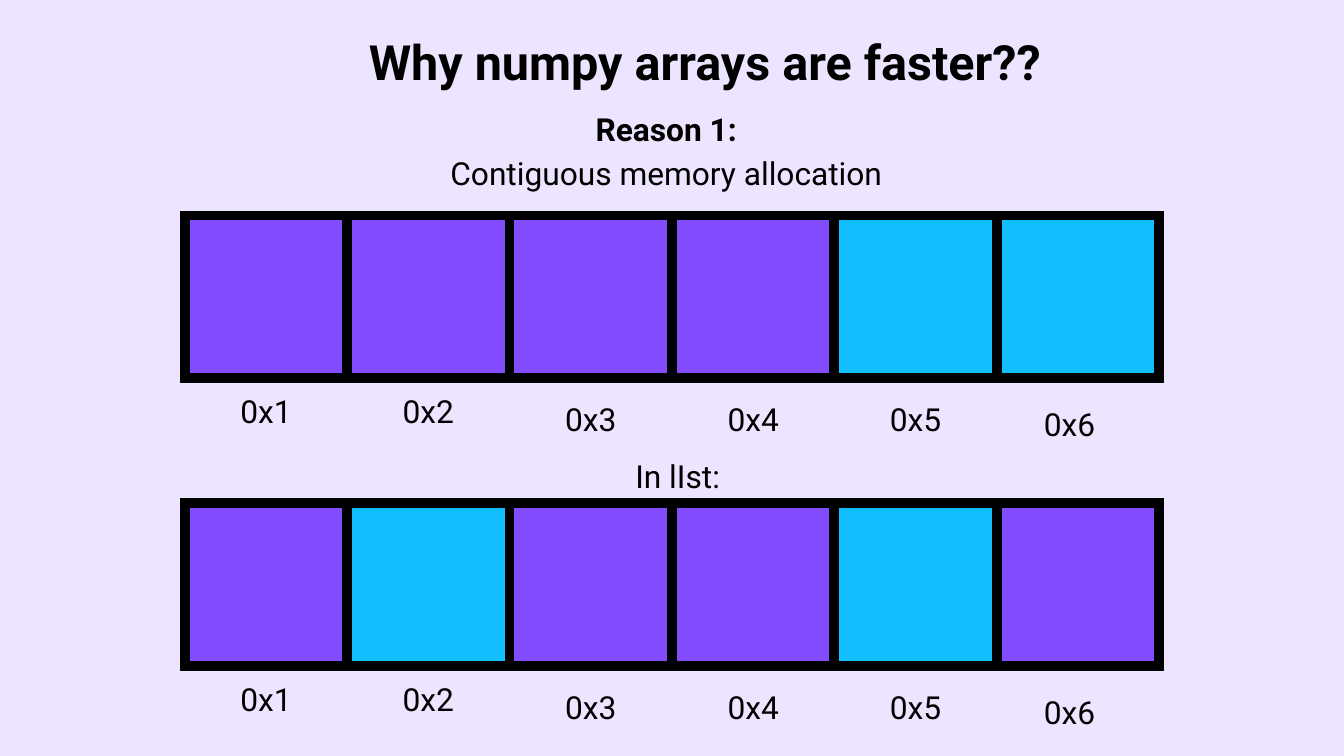
from lxml import etree
from pptx import Presentation
from pptx.dml.color import RGBColor
from pptx.enum.shapes import MSO_SHAPE
from pptx.enum.text import PP_ALIGN
from pptx.oxml.ns import qn
from pptx.util import Pt

RECTANGLE = MSO_SHAPE.RECTANGLE
CENTER = PP_ALIGN.CENTER

BLACK, LILAC, PURPLE, BLUE = "000000", "EDE5FF", "844CFF", "11BFFF"
CELL = 174
ROW_LEFT = 198
LABEL_WIDTH = 66
LABELS = [
    ("0x1", 0, 182.2),
    ("0x2", 0, 182.2),
    ("0x3", 0, 191),
    ("0x4", 0, 191),
    ("0x5", 0, 191),
    ("0x6", -9, 195.8),
]
MEMORY_ROWS = [
    (231, [PURPLE] * 4 + [BLUE] * 2),
    (539.3, [PURPLE, BLUE, PURPLE, PURPLE, BLUE, PURPLE]),
]


def color(value):
    """Turn a hex string into an RGB colour."""
    return RGBColor.from_string(value)


class SlideBuilder:
    """Hold the style and the current slide, and add elements to it."""

    font = "Roboto"
    size = 34
    leading = 1.4
    border = 10.5

    def __init__(self, slide, background):
        """Keep the slide and paint its background."""
        self.s = slide
        slide.background.fill.solid()
        slide.background.fill.fore_color.rgb = color(background)

    def text(self, left, top, width, height, lines, size=size):
        """Add a centred text box from (text, bold) lines."""
        tb = self.s.shapes.add_textbox(Pt(left), Pt(top), Pt(width), Pt(height))
        tf = tb.text_frame
        tf.word_wrap = True
        tf.margin_left = tf.margin_top = tf.margin_right = tf.margin_bottom = 0
        tf.text = "\n".join(line for line, _ in lines)
        for p, (_, bold) in zip(tf.paragraphs, lines):
            p.alignment = CENTER
            p.line_spacing = Pt(size * self.leading)
            for r in p.runs:
                r.font.name = self.font
                r.font.size = Pt(size)
                r.font.bold = bold
                r.font.color.rgb = color(BLACK)

    def cell(self, left, top, fill):
        """Add one square memory cell with a thick mitred border."""
        sp = self.s.shapes.add_shape(RECTANGLE, Pt(left), Pt(top), Pt(CELL), Pt(CELL))
        sp.shadow.inherit = False
        sp.fill.solid()
        sp.fill.fore_color.rgb = color(fill)
        sp.line.color.rgb = color(BLACK)
        sp.line.width = Pt(self.border)
        ln = sp._element.spPr.find(qn("a:ln"))
        etree.SubElement(ln, qn("a:miter"), lim="800000")

    def memory_row(self, top, fills):
        """Add a row of adjoining cells with an address under each."""
        for i, (fill, (address, shift, drop)) in enumerate(zip(fills, LABELS)):
            left = ROW_LEFT + i * CELL
            self.cell(left, top, fill)
            label_left = left + (CELL - LABEL_WIDTH) / 2 + shift
            self.text(label_left, top + drop, LABEL_WIDTH, 45.4, [(address, False)])


def main():
    """Build the slide and save it."""
    prs = Presentation()
    prs.slide_width, prs.slide_height = Pt(1440), Pt(810)
    builder = SlideBuilder(prs.slides.add_slide(prs.slide_layouts[6]), LILAC)
    builder.text(365, 23.8, 780.5, 70, [("Why numpy arrays are faster??", True)], 52)
    builder.text(0, 110.9, 1427.8, 93,
                 [("Reason 1:", True), ("Contiguous memory allocation", False)])
    for top, fills in MEMORY_ROWS:
        builder.memory_row(top, fills)
    builder.text(674, 482.4, 104, 45.4, [("In lIst:", False)])
    prs.save("out.pptx")


if __name__ == "__main__":
    main()
